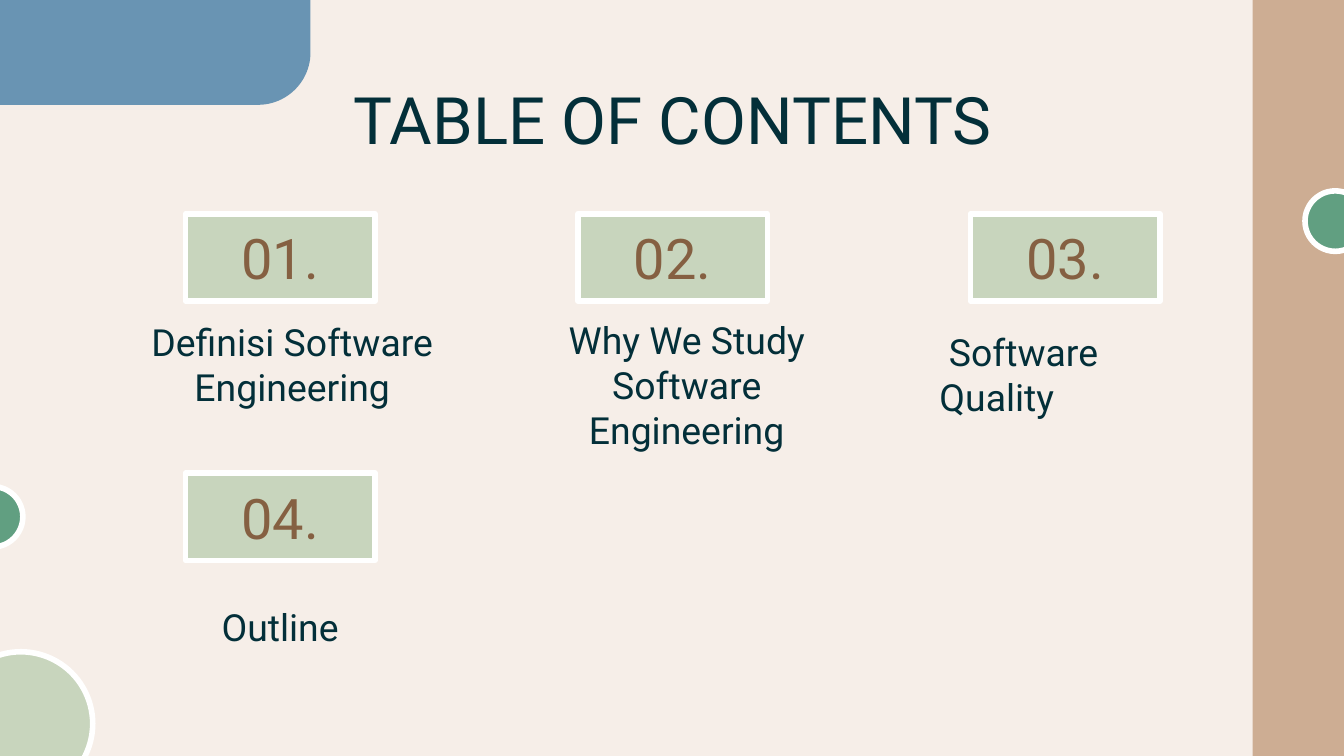
from lxml import etree
from pptx import Presentation
from pptx.dml.color import RGBColor
from pptx.enum.shapes import MSO_SHAPE
from pptx.enum.text import MSO_ANCHOR, MSO_AUTO_SIZE, PP_ALIGN
from pptx.oxml.ns import qn
from pptx.util import Inches, Pt

RECTANGLE = MSO_SHAPE.RECTANGLE
OVAL = MSO_SHAPE.OVAL
ROUND_CORNER = MSO_SHAPE.ROUND_1_RECTANGLE
TOP, MIDDLE, BOTTOM = MSO_ANCHOR.TOP, MSO_ANCHOR.MIDDLE, MSO_ANCHOR.BOTTOM
CENTER, LEFT = PP_ALIGN.CENTER, PP_ALIGN.LEFT
NO_AUTOFIT = MSO_AUTO_SIZE.NONE

COMPARISON_LAYOUT = 4  # a title and four body placeholders
SLIDE_WIDTH = 10
SLIDE_HEIGHT = SLIDE_WIDTH * 9 / 16
FONT = "Roboto"
COLORS = {
    "background": "F6EEE8",
    "blue": "6994B3",
    "sage": "C8D5BD",
    "tan": "CDAD93",
    "green": "619F81",
    "white": "FFFFFF",
    "brown": "856042",
    "ink": "032F39",
}

# Number cards: column pitch and row pitch
CARD_LEFT, CARD_TOP, CARD_WIDTH, CARD_HEIGHT = 1.38, 1.59, 1.41, 0.65
COLUMN_STEP, ROW_STEP, COLUMNS = 2.92, 1.93, 3

# Caption text, box, and paragraph format
CAPTIONS = [
    ("Definisi Software Engineering", (0.79, 2.61, 2.77, 0.53), {}),
    ("Why We Study Software Engineering", (3.92, 2.93, 2.38, 0.53), {}),
    ("Software Quality", (6.89, 2.41, 2.05, 0.81), {"align": LEFT, "indent": 0.07}),
    ("Outline", (1.38, 4.4, 1.41, 0.53), {}),
]


def color(name):
    return RGBColor.from_string(COLORS[name])


def place(shape, box):
    shape.left, shape.top, shape.width, shape.height = map(Inches, box)


def set_text(shape, text, size=20, ink="ink", align=CENTER, anchor=BOTTOM, indent=0):
    """Write one plain paragraph without a bullet."""
    frame = shape.text_frame
    frame.text = text
    frame.word_wrap = True
    frame.auto_size = NO_AUTOFIT
    frame.vertical_anchor = anchor
    frame.margin_left = frame.margin_right = Inches(0.1)
    frame.margin_top = frame.margin_bottom = Inches(0.1)

    paragraph = frame.paragraphs[0]
    paragraph.alignment = align
    paragraph.space_before = Pt(0)
    properties = paragraph._p.get_or_add_pPr()
    properties.set("marL", "0")
    properties.set("indent", str(Inches(indent)))
    etree.SubElement(properties, qn("a:buNone"))

    font = paragraph.runs[0].font
    font.name = FONT
    font.size = Pt(size)
    font.bold = False
    font.color.rgb = color(ink)


def add_block(slide, kind, box, fill, outlined=False):
    shape = slide.shapes.add_shape(kind, *map(Inches, box))
    shape.shadow.inherit = False
    shape.fill.solid()
    shape.fill.fore_color.rgb = color(fill)
    if outlined:
        shape.line.color.rgb = color("white")
        shape.line.width = Pt(3)
        etree.SubElement(shape.line._get_or_add_ln(), qn("a:round"))
    else:
        shape.line.fill.background()
    return shape


def add_decorations(slide):
    corner = add_block(slide, ROUND_CORNER, (0, 0, 2.31, 0.78), "blue")
    corner.adjustments[0] = 0.5
    corner.rotation = 180
    corner._element.spPr.find(qn("a:xfrm")).set("flipH", "1")
    add_block(slide, OVAL, (-0.38, 4.85, 1.07, 1.07), "sage", outlined=True)
    add_block(slide, RECTANGLE, (9.32, 0, 0.68, SLIDE_HEIGHT), "tan")
    for left, top in ((9.71, 1.42), (-0.28, 3.62)):
        add_block(slide, OVAL, (left, top, 0.45, 0.45), "green", outlined=True)


def add_number_card(slide, index):
    row, column = divmod(index, COLUMNS)
    box = (CARD_LEFT + column * COLUMN_STEP, CARD_TOP + row * ROW_STEP,
           CARD_WIDTH, CARD_HEIGHT)
    card = add_block(slide, RECTANGLE, box, "sage", outlined=True)
    set_text(card, f"{index + 1:02d}.", size=30, ink="brown", anchor=MIDDLE)


def main():
    presentation = Presentation()
    presentation.slide_width = Inches(SLIDE_WIDTH)
    presentation.slide_height = Inches(SLIDE_HEIGHT)
    slide = presentation.slides.add_slide(presentation.slide_layouts[COMPARISON_LAYOUT])
    slide.background.fill.solid()
    slide.background.fill.fore_color.rgb = color("background")

    add_decorations(slide)

    # Title
    title, *bodies = slide.placeholders
    place(title, (0.79, 0.49, 8.43, 0.63))
    set_text(title, "TABLE OF CONTENTS", size=35, anchor=TOP)

    # Numbered entries
    for index, (body, (text, box, text_format)) in enumerate(zip(bodies, CAPTIONS)):
        add_number_card(slide, index)
        place(body, box)
        set_text(body, text, **text_format)

    presentation.save("out.pptx")


if __name__ == "__main__":
    main()
